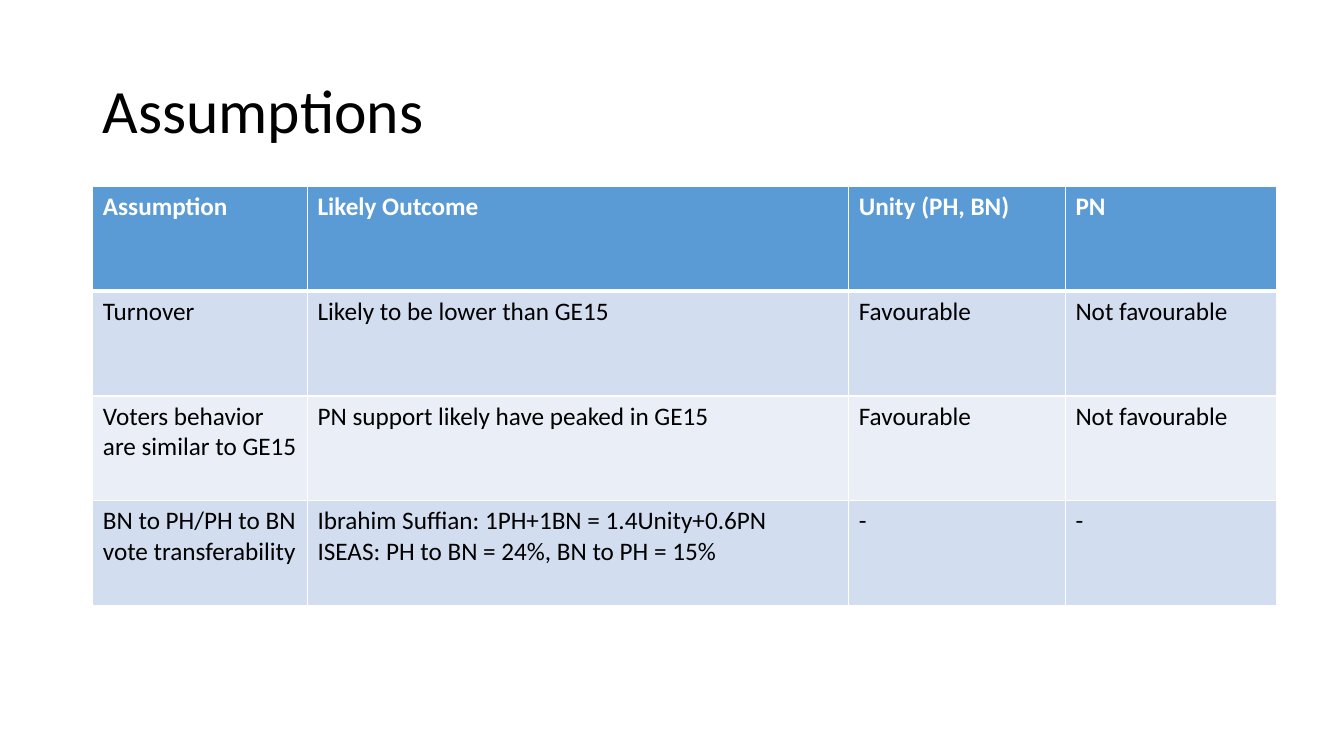
from dataclasses import dataclass
from typing import Any

from lxml.etree import SubElement
from pptx import Presentation
from pptx.dml.color import RGBColor
from pptx.enum.text import MSO_ANCHOR as Anchor
from pptx.oxml.ns import qn
from pptx.util import Cm, Pt

WHITE, BLACK, BLUE = "FFFFFF", "000000", "5B9BD5"
BANDS = ("D2DEEF", "EAEFF7")
LEFT, TABLE_TOP, ROW_HEIGHT = 2.34, 4.7, 2.64
COLUMN_WIDTHS = (5.41, 13.64, 5.46, 5.31)
THIN, THICK = 1, 3


@dataclass(frozen=True)
class Row:
    """One table row: its cell texts, fill, text format and edge widths."""
    texts: tuple[str, ...]
    fill: str
    color: str = BLACK
    bold: bool = False
    top: int = THIN
    bottom: int = THIN


HEADER = Row(("Assumption", "Likely Outcome", "Unity (PH, BN)", "PN"),
             BLUE, WHITE, True, bottom=THICK)
ASSUMPTIONS = (
    ("Turnover", "Likely to be lower than GE15", "Favourable", "Not favourable"),
    ("Voters behavior are similar to GE15", "PN support likely have peaked in GE15",
     "Favourable", "Not favourable"),
    ("BN to PH/PH to BN vote transferability",
     "Ibrahim Suffian: 1PH+1BN = 1.4Unity+0.6PN\nISEAS: PH to BN = 24%, BN to PH = 15%",
     "-", "-"),
)


def rgb(value: str) -> RGBColor:
    """Turn a hex string into a colour."""
    return RGBColor.from_string(value)


def apply(target: Any, values: dict[str, Any]) -> None:
    """Set each named attribute on the target."""
    for name, value in values.items():
        setattr(target, name, value)


def write(frame: Any, text: str, size: int, color: str, bold: bool = False) -> None:
    """Fill a text frame and format every span in it."""
    frame.text = text
    for para in frame.paragraphs:
        for span in para.runs:
            apply(span.font, {"name": "Calibri", "size": Pt(size), "bold": bold})
            span.font.color.rgb = rgb(color)


def draw_edges(cell: Any, top: int, bottom: int) -> None:
    """Give a cell white edges of the stated widths in points."""
    properties = cell._tc.get_or_add_tcPr()
    for side, width in {"L": THIN, "R": THIN, "T": top, "B": bottom}.items():
        line = SubElement(properties, qn(f"a:ln{side}"), w=str(Pt(width)))
        SubElement(SubElement(line, qn("a:solidFill")), qn("a:srgbClr"), val=WHITE)


def draw_title(page: Any, text: str) -> None:
    """Place the slide title."""
    box = page.shapes.add_textbox(Cm(LEFT), Cm(1.02), Cm(29.21), Cm(3.68))
    apply(box.text_frame, {"word_wrap": True, "vertical_anchor": Anchor.MIDDLE})
    write(box.text_frame, text, 44, BLACK)
    box.text_frame.paragraphs[0].line_spacing = 0.9


def draw_table(page: Any, rows: list[Row]) -> None:
    """Place the table of assumptions."""
    table = page.shapes.add_table(
        len(rows), len(COLUMN_WIDTHS), Cm(LEFT), Cm(TABLE_TOP),
        Cm(sum(COLUMN_WIDTHS)), Cm(ROW_HEIGHT * len(rows))).table
    for column, width in zip(table.columns, COLUMN_WIDTHS):
        column.width = Cm(width)
    for table_row, row in zip(table.rows, rows):
        table_row.height = Cm(ROW_HEIGHT)
        for cell, text in zip(table_row.cells, row.texts):
            draw_edges(cell, row.top, row.bottom)
            cell.fill.solid()
            cell.fill.fore_color.rgb = rgb(row.fill)
            write(cell.text_frame, text, 18, row.color, row.bold)


def main() -> None:
    """Build and save the deck."""
    deck = Presentation()
    apply(deck, {"slide_width": Cm(33.87), "slide_height": Cm(19.05)})
    page = deck.slides.add_slide(deck.slide_layouts[6])
    draw_title(page, "Assumptions")
    body = [Row(texts, BANDS[index % 2], top=THIN if index else THICK)
            for index, texts in enumerate(ASSUMPTIONS)]
    draw_table(page, [HEADER, *body])
    deck.save("out.pptx")


main()
